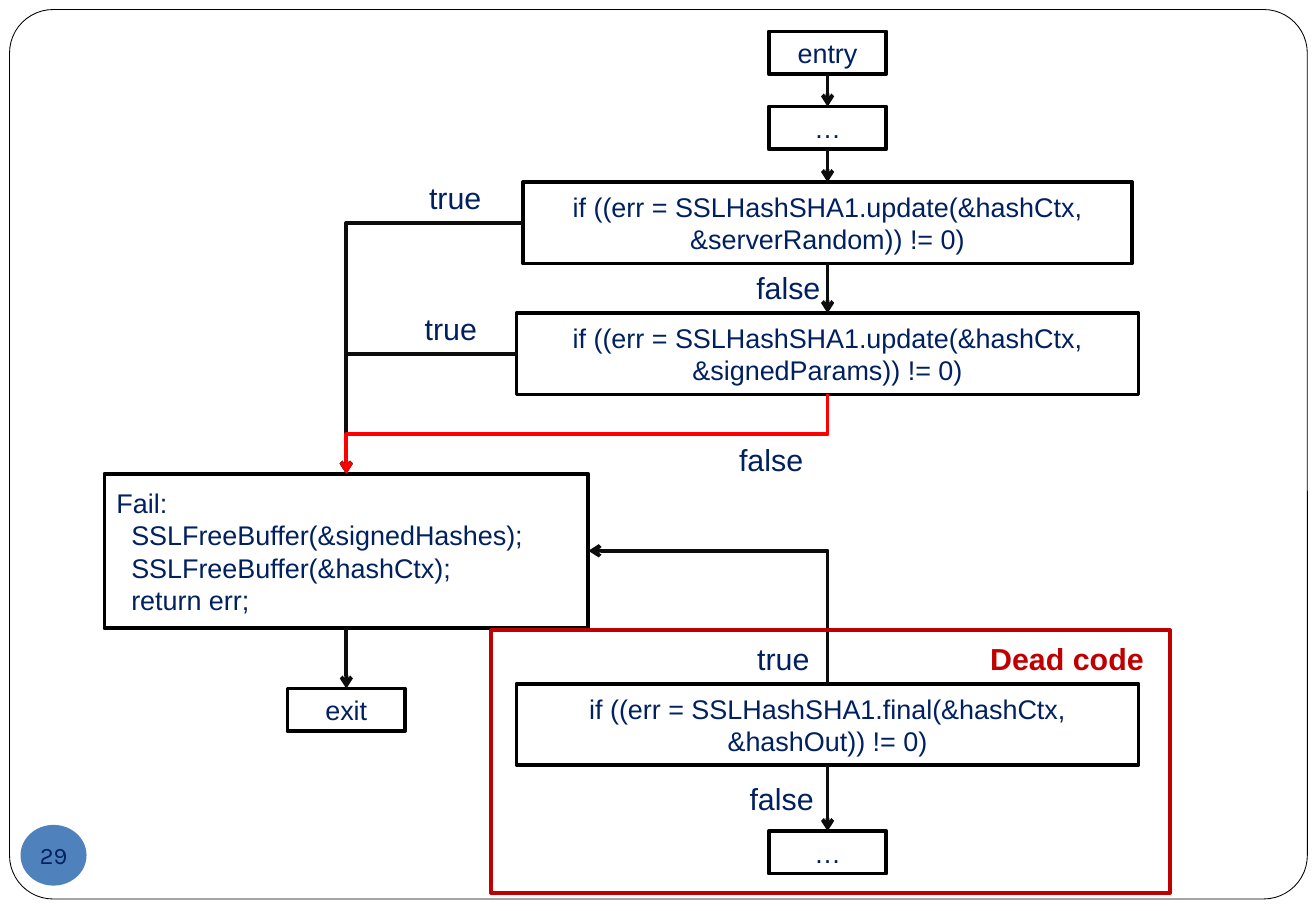
from pptx import Presentation
from pptx.dml.color import RGBColor
from pptx.enum.shapes import MSO_CONNECTOR, MSO_SHAPE
from pptx.enum.text import MSO_ANCHOR, MSO_AUTO_SIZE, PP_ALIGN
from pptx.oxml.ns import qn
from pptx.oxml.xmlchemy import OxmlElement
from pptx.util import Cm, Pt

RECT = MSO_SHAPE.RECTANGLE
ROUND = MSO_SHAPE.ROUNDED_RECTANGLE
OVAL = MSO_SHAPE.OVAL
STRAIGHT = MSO_CONNECTOR.STRAIGHT
ELBOW = MSO_CONNECTOR.ELBOW
MIDDLE = MSO_ANCHOR.MIDDLE
TOP = MSO_ANCHOR.TOP
CENTER = PP_ALIGN.CENTER
LEFT = PP_ALIGN.LEFT
FIT = MSO_AUTO_SIZE.SHAPE_TO_FIT_TEXT

WHITE = RGBColor(0xFF, 0xFF, 0xFF)
BLACK = RGBColor(0x00, 0x00, 0x00)
INK = RGBColor(0x0D, 0x0D, 0x0D)
NAVY = RGBColor(0x00, 0x20, 0x60)
RED = RGBColor(0xFF, 0x00, 0x00)
MAROON = RGBColor(0xC0, 0x00, 0x00)
BLUE = RGBColor(0x4F, 0x81, 0xBD)

MAIN_X = 17.3
FAIL_X = 7.24
SMALL = (2.46, 0.89)
TEST = (13, 1.7)


def write(frame, lines, size=16, color=NAVY, font="Arial", bold=False,
          align=CENTER, anchor=MIDDLE, wrap=True, indent=0):
    frame.word_wrap = wrap
    frame.vertical_anchor = anchor
    for i, line in enumerate(lines):
        para = frame.add_paragraph() if i else frame.paragraphs[0]
        para.alignment = align
        if i and indent:
            para._p.get_or_add_pPr().set("marL", str(Cm(indent)))
        run = para.add_run()
        run.text = line
        run.font.size = Pt(size)
        run.font.name = font
        run.font.bold = bold
        run.font.color.rgb = color


def draw(slide, kind, x, y, w, h, fill=None, line=None, width=2.25):
    shape = slide.shapes.add_shape(kind, Cm(x), Cm(y), Cm(w), Cm(h))
    shape.shadow.inherit = False
    if fill is None:
        shape.fill.background()
    else:
        shape.fill.solid()
        shape.fill.fore_color.rgb = fill
    if line is None:
        shape.line.fill.background()
    else:
        shape.line.color.rgb = line
        shape.line.width = Pt(width)
    return shape


def node(slide, mid, top, size, *lines, **style):
    w, h = size
    box = draw(slide, RECT, mid - w / 2, top, w, h, WHITE, BLACK)
    write(box.text_frame, lines, **style)


def label(slide, x, y, w, text, **style):
    box = slide.shapes.add_textbox(Cm(x), Cm(y), Cm(w), Cm(1.03))
    write(box.text_frame, [text], size=18, align=LEFT, anchor=TOP, wrap=False, **style)
    box.text_frame.auto_size = FIT


def link(slide, kind, x1, y1, x2, y2, color=INK):
    line = slide.shapes.add_connector(kind, Cm(x1), Cm(y1), Cm(x2), Cm(y2))
    line.line.color.rgb = color
    line.line.width = Pt(2.25)
    props = line._element.spPr
    tail = OxmlElement("a:tailEnd")
    tail.set("type", "arrow")
    props.find(qn("a:ln")).append(tail)
    props.append(OxmlElement("a:effectLst"))
    return props


def arrow(slide, x, y1, y2):
    link(slide, STRAIGHT, x, y1, x, y2)


def corner(props):
    props.find(qn("a:prstGeom")).set("prst", "bentConnector2")


def upright(slide, x1, y1, x2, y2, color=INK):
    turn = 1 if y2 > y1 else -1
    mid_x, mid_y = (x1 + x2) / 2, (y1 + y2) / 2
    half_w, half_h = turn * (y2 - y1) / 2, turn * (x1 - x2) / 2
    props = link(slide, ELBOW, mid_x - half_w, mid_y - half_h,
                 mid_x + half_w, mid_y + half_h, color)
    props.find(qn("a:xfrm")).set("rot", str(turn % 4 * 90 * 60000))
    return props


def main():
    deck = Presentation()
    deck.slide_width, deck.slide_height = Cm(27.51), Cm(19.05)
    slide = deck.slides.add_slide(deck.slide_layouts[6])

    frame = draw(slide, ROUND, 0.2, 0.2, 27.13, 18.6, WHITE, BLACK, 0.5)
    frame.adjustments[0] = 0.049

    node(slide, MAIN_X, 0.66, SMALL, "entry")
    node(slide, MAIN_X, 2.23, SMALL, "…")
    node(slide, MAIN_X, 3.81, (12.73, 1.7),
         "if ((err = SSLHashSHA1.update(&hashCtx, &serverRandom)) != 0)")
    node(slide, MAIN_X, 6.55, TEST,
         "if ((err = SSLHashSHA1.update(&hashCtx, &signedParams)) != 0)")
    node(slide, FAIL_X, 9.91, (10.11, 3.23), "Fail:",
         "SSLFreeBuffer(&signedHashes);", "SSLFreeBuffer(&hashCtx);",
         "return err;", align=LEFT, indent=0.31)
    node(slide, FAIL_X, 14.4, SMALL, "exit")
    node(slide, MAIN_X, 14.3, TEST,
         "if ((err = SSLHashSHA1.final(&hashCtx, &hashOut)) != 0)")
    node(slide, MAIN_X, 17.38, SMALL, "…")

    for x, start, end in [
        (MAIN_X, 1.55, 2.23), (MAIN_X, 3.12, 3.81), (MAIN_X, 5.51, 6.55),
        (MAIN_X, 16, 17.38), (FAIL_X, 13.14, 14.4),
    ]:
        arrow(slide, x, start, end)
    for x, y in [(10.94, 4.66), (10.8, 7.4)]:
        corner(link(slide, ELBOW, x, y, FAIL_X, 9.91))
    corner(upright(slide, MAIN_X, 14.3, 12.3, 11.52))
    upright(slide, MAIN_X, 8.25, FAIL_X, 9.91, RED)

    for x, y in [(8.72, 3.63), (8.63, 6.36), (15.58, 13.26)]:
        label(slide, x, y, 1.63, "true")
    for x, y in [(15.56, 5.51), (15.2, 9.1), (15.42, 16.19)]:
        label(slide, x, y, 1.85, "false")

    draw(slide, RECT, 10.26, 13.18, 14.2, 5.49, line=MAROON)
    label(slide, 20.45, 13.26, 3.76, "Dead code", color=MAROON, bold=True)

    badge = draw(slide, OVAL, 0.43, 17.25, 1.38, 1.27, BLUE)
    text = badge.text_frame
    text.margin_left = text.margin_right = text.margin_top = text.margin_bottom = 0
    write(text, ["29"], size=14, font="Karla", wrap=False)

    deck.save("out.pptx")


if __name__ == "__main__":
    main()
